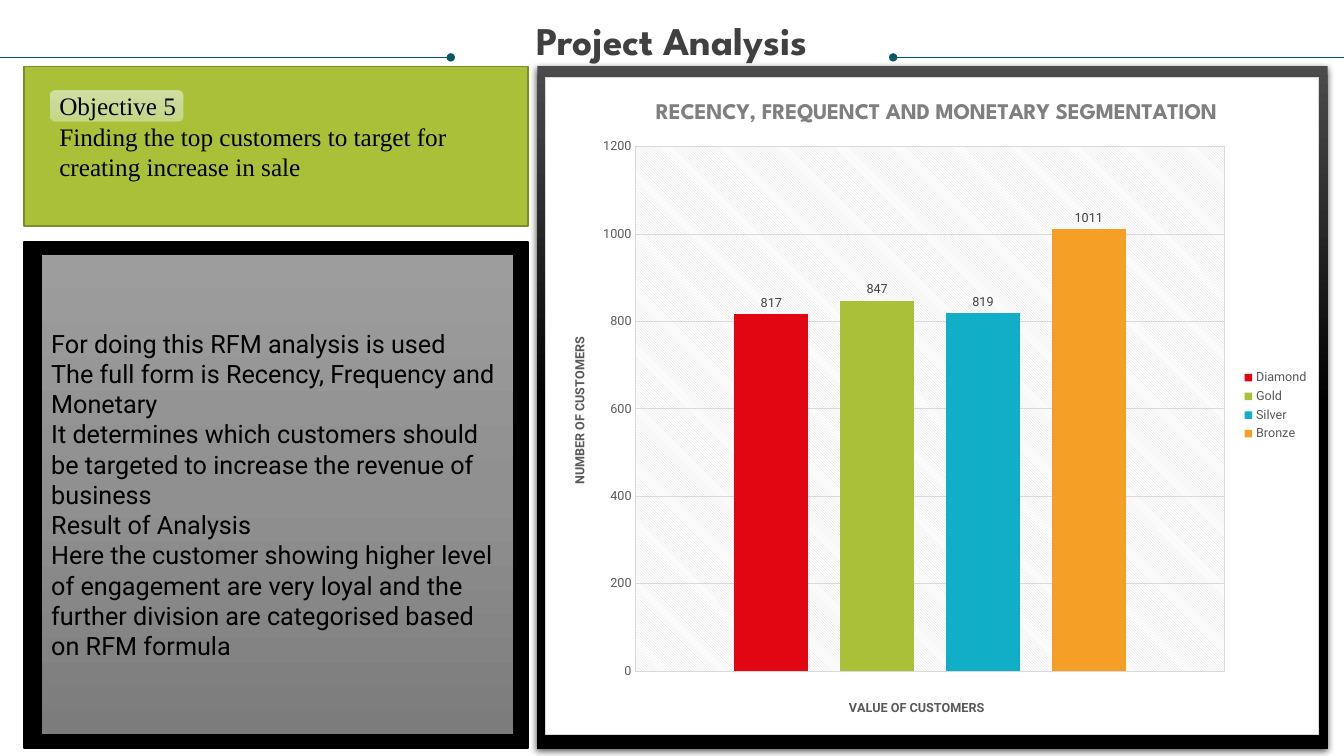
from dataclasses import dataclass

import pptx
import pptx.chart.data
import pptx.dml.color
import pptx.enum.chart
import pptx.enum.shapes
import pptx.enum.text
import pptx.oxml
import pptx.oxml.ns
import pptx.util

Pt = pptx.util.Pt
ALIGN = pptx.enum.text.PP_ALIGN
ANCHOR = pptx.enum.text.MSO_ANCHOR
SHAPE = pptx.enum.shapes.MSO_SHAPE
qn = pptx.oxml.ns.qn
NS = pptx.oxml.ns.nsdecls("a", "c")

COLORS = {
    "black": "000000", "white": "FFFFFF", "title": "404040", "teal": "085764",
    "green": "A9C038", "olive": "7D8E29", "grid": "D9D9D9", "axis": "595959",
    "heading": "7F7F7F", "red": "E20613", "blue": "11AEC7", "orange": "F59F26",
    "pill_top": "D2DFA4", "pill_mid": "CAD996", "pill_low": "C5D883",
    "panel_top": "9D9D9D", "panel_mid": "909090", "panel_low": "7C7C7C",
    "frame_top": "4B4B4B",
}


@dataclass
class Box:
    """A filled shape; three fill names make a vertical gradient."""
    left: float
    top: float
    width: float
    height: float
    fill: tuple
    line: str = ""
    weight: float = 0
    kind: int = SHAPE.RECTANGLE


@dataclass
class Segment:
    """A customer segment of the chart."""
    name: str
    customers: int
    color: str


OBJECTIVE = Box(17.3, 47.5, 360, 113.8, ("green",), "olive", 1)
PILL = Box(35.3, 64.1, 96, 23, ("pill_top", "pill_mid", "pill_low"), "green", 0.5,
           SHAPE.ROUNDED_RECTANGLE)
PANEL_FRAME = Box(17.3, 172.8, 360, 361.4, ("black",), "black", 1)
PANEL = Box(29.5, 181.4, 337, 343.4, ("panel_top", "panel_mid", "panel_low"), "black", 0.5)
CHART_FRAME = Box(383.8, 47.5, 564.5, 487.4, ("frame_top", "black", "black"))

SEGMENTS = [
    Segment("Diamond", 817, "red"),
    Segment("Gold", 847, "green"),
    Segment("Silver", 819, "blue"),
    Segment("Bronze", 1011, "orange"),
]
OBJECTIVE_TEXT = ["Objective 5",
                  "Finding the top customers to target for creating increase in sale"]
PANEL_TEXT = [
    "For doing this RFM analysis is used",
    "The full form is Recency, Frequency and Monetary",
    "It determines which customers should be targeted to increase the revenue of business",
    "Result of Analysis",
    "Here the customer showing higher level of engagement are very loyal and the further "
    "division are categorised based on RFM formula",
]


def rgb(name: str) -> pptx.dml.color.RGBColor:
    """Look up a named colour."""
    return pptx.dml.color.RGBColor.from_string(COLORS[name])


def set_font(font, size: float, color: str, face: str = "Roboto", bold: bool = False) -> None:
    """Format a font."""
    font.size, font.name, font.bold = Pt(size), face, bold
    font.color.rgb = rgb(color)


def write(tf, lines: list, *, size: float, color: str = "black", face: str = "Roboto",
          bold: bool = False, align=ALIGN.LEFT, anchor=ANCHOR.TOP, spacing: float = 1) -> None:
    """Fill a text frame, one paragraph a line."""
    tf.word_wrap = True
    tf.auto_size = pptx.enum.text.MSO_AUTO_SIZE.NONE
    tf.vertical_anchor = anchor
    for i, line in enumerate(lines):
        p = tf.add_paragraph() if i else tf.paragraphs[0]
        p.alignment, p.line_spacing = align, spacing
        r = p.add_run()
        r.text = line
        set_font(r.font, size, color, face, bold)


def add_box(slide, box: Box):
    """Draw a box with its fill and line."""
    sp = slide.shapes.add_shape(box.kind, Pt(box.left), Pt(box.top), Pt(box.width), Pt(box.height))
    sp.shadow.inherit = False
    if len(box.fill) == 1:
        sp.fill.solid()
        sp.fill.fore_color.rgb = rgb(box.fill[0])
    else:
        sp.fill.background()
        stops = "".join(f'<a:gs pos="{i * 50000}"><a:srgbClr val="{COLORS[c]}"/></a:gs>'
                        for i, c in enumerate(box.fill))
        spPr = sp._element.spPr
        spPr.replace(spPr.find(qn("a:noFill")), pptx.oxml.parse_xml(
            f'<a:gradFill {NS} rotWithShape="1"><a:gsLst>{stops}</a:gsLst>'
            '<a:lin ang="5400000" scaled="0"/></a:gradFill>'))
    if box.line:
        sp.line.color.rgb = rgb(box.line)
        sp.line.width = Pt(box.weight)
    else:
        sp.line.fill.background()
    return sp


def add_shadow(sp) -> None:
    """Give a shape a soft shadow below it."""
    sp._element.spPr.find(qn("a:effectLst")).append(pptx.oxml.parse_xml(
        f'<a:outerShdw {NS} blurRad="{Pt(4.5)}" dist="{Pt(1.5)}" dir="5400000" algn="ctr" '
        f'rotWithShape="0"><a:srgbClr val="{COLORS["black"]}"><a:alpha val="63000"/>'
        '</a:srgbClr></a:outerShdw>'))


def add_rule(slide, start: float, stop: float, dotted_end: str) -> None:
    """Draw a title rule with a dot at its headEnd or tailEnd."""
    y = Pt(41)
    cxn = slide.shapes.add_connector(pptx.enum.shapes.MSO_CONNECTOR.STRAIGHT,
                                     Pt(start), y, Pt(stop), y)
    cxn.line.color.rgb = rgb("teal")
    cxn.line.width = Pt(0.5)
    cxn.line._get_or_add_ln().append(
        pptx.oxml.parse_xml(f'<a:{dotted_end} {NS} type="oval"/>'))
    cxn._element.spPr.append(pptx.oxml.parse_xml(f"<a:effectLst {NS}/>"))


def place(element, x: float, y: float, w: float = 0, h: float = 0) -> None:
    """Place a chart part by fractions of the chart's size."""
    for old in element.findall(qn("c:layout")):
        element.remove(old)
    target = '<c:layoutTarget val="inner"/>' if element.tag == qn("c:plotArea") else ""
    size = f'<c:w val="{w}"/><c:h val="{h}"/>' if w else ""
    layout = pptx.oxml.parse_xml(
        f'<c:layout {NS}><c:manualLayout>{target}<c:xMode val="edge"/><c:yMode val="edge"/>'
        f'<c:x val="{x}"/><c:y val="{y}"/>{size}</c:manualLayout></c:layout>')
    before = element.find(qn("c:tx"))
    if before is None:
        before = element.find(qn("c:legendPos"))
    if before is None:
        element.insert(0, layout)
    else:
        before.addnext(layout)


def set_title(owner, text: str, x: float, y: float, **fmt) -> None:
    """Title a chart or an axis."""
    title = owner.chart_title if hasattr(owner, "chart_title") else owner.axis_title
    r = title.text_frame.paragraphs[0].add_run()
    r.text = text
    set_font(r.font, bold=True, **fmt)
    place(title._element, x, y)


def area_format(fill: str):
    """Make the fill and border of a chart area."""
    return pptx.oxml.parse_xml(
        f'<c:spPr {NS}>{fill}<a:ln w="{Pt(0.75)}"><a:solidFill>'
        f'<a:srgbClr val="{COLORS["grid"]}"/></a:solidFill></a:ln></c:spPr>')


def add_segment_chart(slide) -> None:
    """Draw the column chart of customers by segment."""
    data = pptx.chart.data.CategoryChartData()
    data.categories = ["1"]
    for seg in SEGMENTS:
        data.add_series(seg.name, [seg.customers])
    chart = slide.shapes.add_chart(pptx.enum.chart.XL_CHART_TYPE.COLUMN_CLUSTERED,
                                   Pt(389.5), Pt(54.7), Pt(553), Pt(470.2), data).chart
    set_font(chart.font, 10, "black")
    set_title(chart, "RECENCY, FREQUENCT AND MONETARY SEGMENTATION", 0.137, 0.03,
              size=16, color="heading", face="League Spartan")
    chart.has_legend = True
    chart.legend.include_in_layout = False
    chart.legend.position = pptx.enum.chart.XL_LEGEND_POSITION.RIGHT
    set_font(chart.legend.font, 9, "axis")

    plot = chart.plots[0]
    plot.gap_width, plot.overlap, plot.vary_by_categories = 267, -43, False
    for series, seg in zip(plot.series, SEGMENTS):
        series.format.fill.solid()
        series.format.fill.fore_color.rgb = rgb(seg.color)
        labels = series.data_labels
        labels.show_value = True
        labels.position = pptx.enum.chart.XL_LABEL_POSITION.OUTSIDE_END
        set_font(labels.font, 9, "title")

    cat, val = chart.category_axis, chart.value_axis
    for axis in (cat, val):
        axis.has_major_gridlines = True
        axis.major_gridlines.format.line.color.rgb = rgb("grid")
        axis.major_gridlines.format.line.width = Pt(0.75)
        axis.major_tick_mark = pptx.enum.chart.XL_TICK_MARK.NONE
    cat.visible = False
    val.minimum_scale, val.maximum_scale, val.major_unit = 0, 1200, 200
    val.format.line.fill.background()
    set_font(val.tick_labels.font, 9, "axis")
    set_title(cat, "VALUE OF CUSTOMERS", 0.389, 0.943, size=9, color="axis")
    set_title(val, "NUMBER OF CUSTOMERS", 0.03, 0.392, size=9, color="axis")

    space = chart._chartSpace
    area = space.chart.plotArea
    place(area, 0.116, 0.106, 0.762, 0.798)
    area.append(area_format(
        f'<a:pattFill prst="ltDnDiag"><a:fgClr><a:srgbClr val="{COLORS["grid"]}"/></a:fgClr>'
        f'<a:bgClr><a:srgbClr val="{COLORS["white"]}"/></a:bgClr></a:pattFill>'))
    space.chart.addnext(area_format(
        f'<a:solidFill><a:srgbClr val="{COLORS["white"]}"/></a:solidFill>'))


prs = pptx.Presentation()
prs.slide_width, prs.slide_height = Pt(960), Pt(540)
s = prs.slides.add_slide(prs.slide_layouts[5])

for box in (OBJECTIVE, PILL, PANEL_FRAME):
    add_box(s, box)
write(add_box(s, PANEL).text_frame, PANEL_TEXT, size=18, anchor=ANCHOR.MIDDLE)
add_shadow(add_box(s, CHART_FRAME))
add_segment_chart(s)
objective = s.shapes.add_textbox(Pt(35.3), Pt(61.2), Pt(337.7), Pt(72))
write(objective.text_frame, OBJECTIVE_TEXT, size=18, face="Times New Roman")

title = s.shapes.title
title.left, title.top, title.width, title.height = Pt(18), Pt(15.1), Pt(923.8), Pt(30)
tf = title.text_frame
tf.margin_left = tf.margin_top = tf.margin_right = tf.margin_bottom = 0
write(tf, ["Project Analysis"], size=28, color="title", face="League Spartan", bold=True,
      align=ALIGN.CENTER, spacing=0.9)
add_rule(s, 638, 960, "headEnd")
add_rule(s, 0, 322, "tailEnd")
prs.save("out.pptx")
